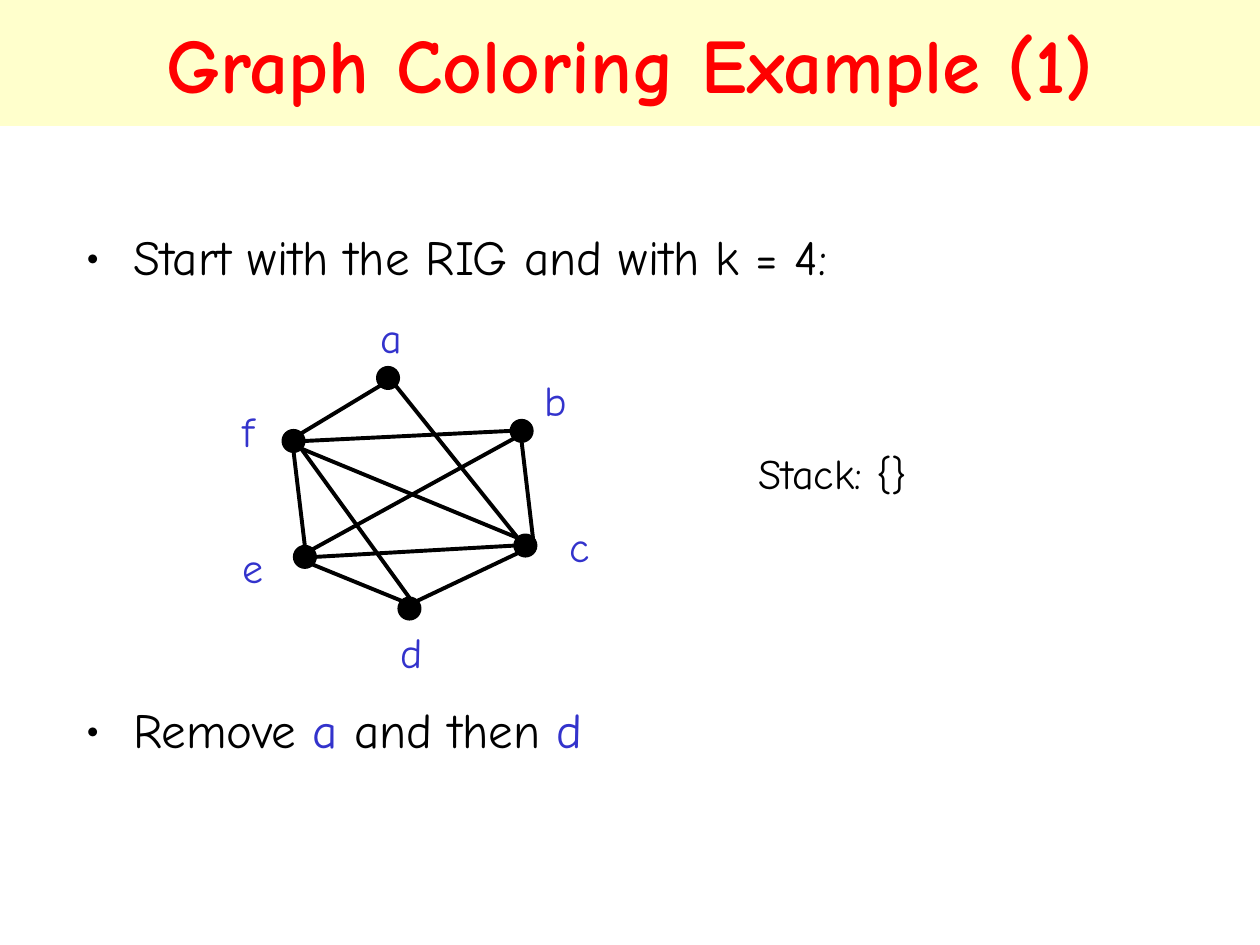
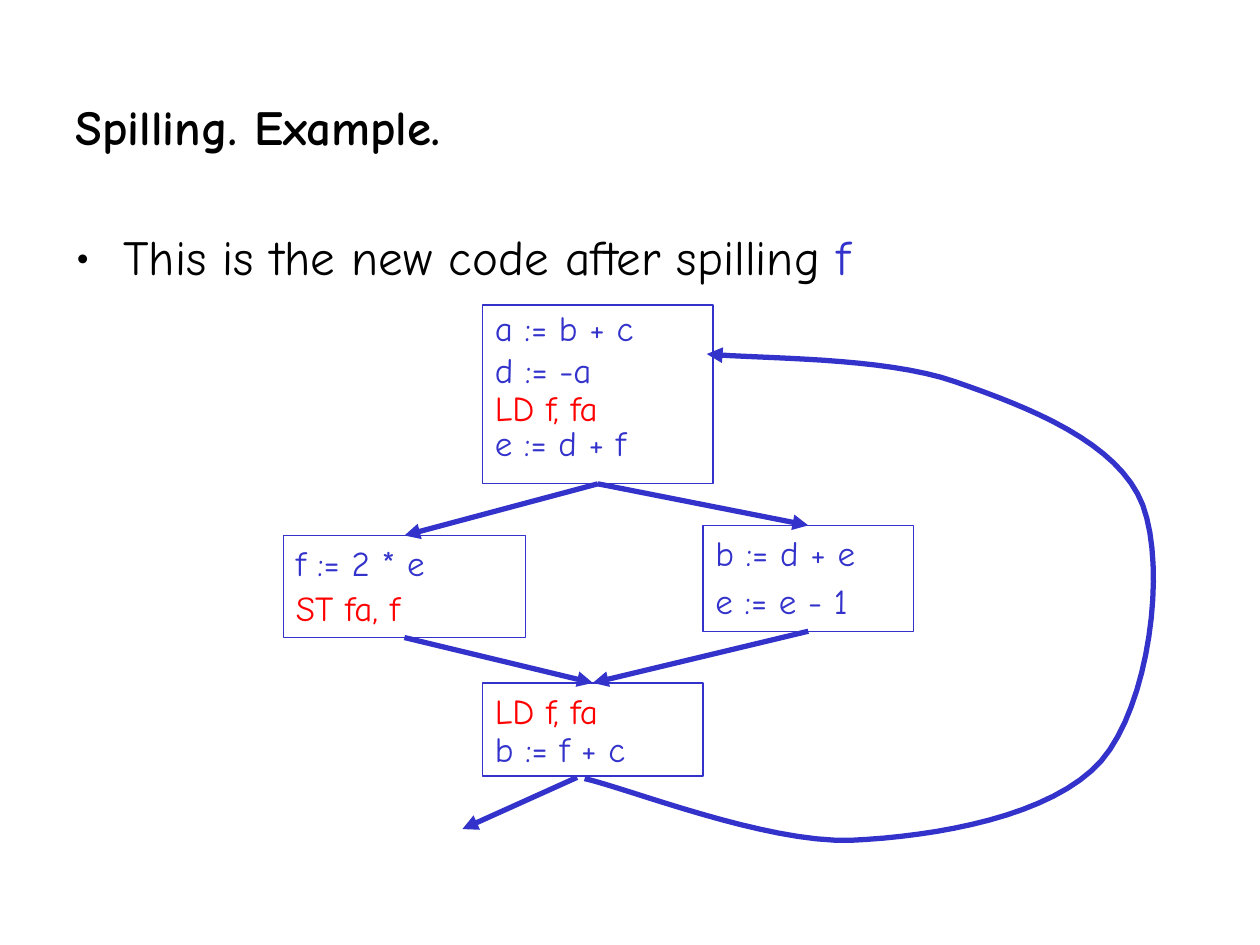
from math import cos, sin, radians
from lxml import etree
from pptx import Presentation
from pptx.dml.color import RGBColor
from pptx.enum.shapes import MSO_CONNECTOR as CONN, MSO_SHAPE as SHAPE
from pptx.enum.text import MSO_ANCHOR as ANCHOR, MSO_AUTO_SIZE as AUTO, PP_ALIGN as ALIGN
from pptx.oxml.ns import qn
from pptx.util import Inches, Pt

# Shared look
FONT = "Comic Neue"
BLACK, BLUE, RED, CREAM = "000000", "3333CC", "FF0000", "FFFFCC"
W, H = 10, 7.5
BODY_TOP, BODY_H, INDENT = 1.75, 0.58, 0.38

# Slide 1: interference graph, node -> (centre, label corner)
NODES = {
    "a": ((3.08, 3.0), (2.92, 2.42)),
    "b": ((4.14, 3.42), (4.22, 2.92)),
    "c": ((4.17, 4.33), (4.42, 4.08)),
    "d": ((3.25, 4.83), (3.08, 4.92)),
    "e": ((2.42, 4.42), (1.83, 4.25)),
    "f": ((2.33, 3.5), (1.83, 3.17)),
}
DOT = 0.17
# Compass points on a dot's rim, in degrees clockwise from east
RIM = {"E": 0, "SE": 45, "S": 90, "SW": 135, "W": 180, "NW": 225, "N": 270, "NE": 315}
EDGES = ["a SW f NE", "a SE c NW", "b W f E", "b SW e NE", "b S c NE", "c NW f SE",
         "c W e E", "c SW d NE", "d N f SE", "d NW e SE", "e N f S"]

# Slide 2: basic blocks, name -> (left, top, width, height), [(code, line spacing)]
BLOCKS = {
    "entry": ((3.83, 2.42, 1.83, 1.42),
              [("a := b + c", 0.9), ("d := -a", 0.5), ("LD f, fa", 0.5), ("e := d + f", 0.4)]),
    "left": ((2.25, 4.25, 1.92, 0.81), [("f := 2 * e", 1), ("ST fa, f", 0.6)]),
    "right": ((5.58, 4.17, 1.67, 0.84), [("b := d + e", 1), ("e := e - 1", 0.7)]),
    "join": ((3.83, 5.42, 1.75, 0.74), [("LD f, fa", 1), ("b := f + c", 0.4)]),
}
FLOW = [("entry", "left"), ("entry", "right"), ("left", "join"), ("right", "join")]
EXIT = (4.58, 6.17), (3.67, 6.58)
# Back edge: start, then two control points and an end for each Bézier piece
LOOP = [(4.64, 6.18),
        (4.99, 6.26), (6.07, 6.69), (6.75, 6.67),
        (7.43, 6.64), (8.35, 6.48), (8.74, 6.04),
        (9.12, 5.6), (9.26, 4.52), (9.07, 4.01),
        (8.88, 3.51), (8.16, 3.23), (7.58, 3.03),
        (7.01, 2.83), (6.02, 2.85), (5.61, 2.81)]
LOOP_STEPS = 16


def rgb(color):
    return RGBColor.from_string(color)


def write(sp, paras, size=28, color=BLACK, bold=False, align=ALIGN.LEFT,
          anchor=ANCHOR.TOP, spacing=None, before=0, bullet=False):
    """Fill a shape with paragraphs; each is a string or a list of (text, colour) runs."""
    tf = sp.text_frame
    tf.word_wrap, tf.auto_size, tf.vertical_anchor = True, AUTO.NONE, anchor
    for i, para in enumerate(paras):
        p = tf.add_paragraph() if i else tf.paragraphs[0]
        p.alignment = align
        if spacing:
            p.line_spacing = spacing[i]
        if i:
            p.space_before = Pt(before)
        if bullet:
            pPr = p._p.get_or_add_pPr()
            pPr.set("marL", str(Inches(INDENT)))
            pPr.set("indent", str(-Inches(INDENT)))
            etree.SubElement(pPr, qn("a:buFont")).set("typeface", FONT)
            etree.SubElement(pPr, qn("a:buChar")).set("char", "•")
        for text, run_color in [(para, color)] if isinstance(para, str) else para:
            r = p.add_run()
            r.text = text
            r.font.name, r.font.size, r.font.bold = FONT, Pt(size), bold
            r.font.color.rgb = rgb(run_color)


def add_text(s, box, paras, **fmt):
    write(s.shapes.add_textbox(*map(Inches, box)), paras, **fmt)


def add_title(s, box, text, fill=None, **fmt):
    sp = s.shapes.title
    sp.left, sp.top, sp.width, sp.height = map(Inches, box)
    if fill:
        sp.fill.solid()
        sp.fill.fore_color.rgb = rgb(fill)
    write(sp, [text], bold=True, anchor=ANCHOR.MIDDLE, **fmt)


def add_bullet(s, left, top, runs):
    add_text(s, (left, top, 9.08, BODY_H), [runs], bullet=True)


def add_shape(s, kind, box, line, width, fill=None):
    sp = s.shapes.add_shape(kind, *map(Inches, box))
    sp.shadow.inherit = False
    if fill:
        sp.fill.solid()
        sp.fill.fore_color.rgb = rgb(fill)
    else:
        sp.fill.background()
    sp.line.color.rgb, sp.line.width = rgb(line), Pt(width)
    return sp


def style_line(sp, color, width, arrow):
    sp.line.color.rgb, sp.line.width = rgb(color), Pt(width)
    if arrow:
        etree.SubElement(sp.line._get_or_add_ln(), qn("a:tailEnd")).set("type", "triangle")


def add_line(s, start, end, color=BLACK, width=2.25, arrow=False):
    cx = s.shapes.add_connector(CONN.STRAIGHT, *map(Inches, (*start, *end)))
    style_line(cx, color, width, arrow)
    etree.SubElement(cx._element.spPr, qn("a:effectLst"))


def rim_point(node, side):
    (x, y), angle = NODES[node][0], radians(RIM[side])
    return x + DOT / 2 * cos(angle), y + DOT / 2 * sin(angle)


def bezier(p0, p1, p2, p3, t):
    u = 1 - t
    return tuple(u**3 * a + 3 * u * u * t * b + 3 * u * t * t * c + t**3 * d
                 for a, b, c, d in zip(p0, p1, p2, p3))


def add_curve(s, pts):
    dots = [bezier(*pts[i:i + 4], k / LOOP_STEPS)
            for i in range(0, len(pts) - 1, 3) for k in range(1, LOOP_STEPS + 1)]
    # Freeform points are whole numbers, so they are given in EMU
    start, *rest = [(Inches(x), Inches(y)) for x, y in [pts[0], *dots]]
    fb = s.shapes.build_freeform(*start)
    fb.add_line_segments(rest, close=False)
    sp = fb.convert_to_shape()
    sp.shadow.inherit = False
    sp.fill.background()
    style_line(sp, BLUE, 3, True)


def coloring_slide(s):
    add_title(s, (0, 0, W, 1), "Graph Coloring Example (1)", fill=CREAM,
              size=44, color=RED, align=ALIGN.CENTER)
    add_bullet(s, 0.58, BODY_TOP, "Start with the RIG and with k = 4:")
    add_bullet(s, 0.58, 5.5, [("Remove ", BLACK), ("a", BLUE), (" and then ", BLACK), ("d", BLUE)])
    for edge in EDGES:
        n1, side1, n2, side2 = edge.split()
        add_line(s, rim_point(n1, side1), rim_point(n2, side2))
    for name, ((x, y), corner) in NODES.items():
        add_shape(s, SHAPE.OVAL, (x - DOT / 2, y - DOT / 2, DOT, DOT), BLACK, 1.5, fill=BLACK)
        add_text(s, (*corner, 0.4, 0.5), [name], size=24, color=BLUE)
    add_text(s, (5.92, 3.5, 1.65, 0.5), ["Stack: {}"], size=24)


def spilling_slide(s):
    add_title(s, (0.5, 0.5, 8.83, 1), "Spilling. Example.")
    add_bullet(s, 0.5, BODY_TOP, [("This is the new code after spilling ", BLACK), ("f", BLUE)])
    for box, code in BLOCKS.values():
        sp = add_shape(s, SHAPE.RECTANGLE, box, BLUE, 0.75)
        # Loads and stores added by spilling stand out in red
        paras = [[(text, RED if text[:2] in ("LD", "ST") else BLUE)] for text, _ in code]
        write(sp, paras, size=20, spacing=[gap for _, gap in code], before=10)
    for source, target in FLOW:
        (x1, y1, w1, h1), (x2, y2, w2, _) = BLOCKS[source][0], BLOCKS[target][0]
        add_line(s, (x1 + w1 / 2, y1 + h1), (x2 + w2 / 2, y2), BLUE, 3, True)
    add_curve(s, LOOP)
    add_line(s, *EXIT, BLUE, 3, True)


def main():
    prs = Presentation()
    prs.slide_width, prs.slide_height = Inches(W), Inches(H)
    title_only = prs.slide_layouts[5]
    for build in (coloring_slide, spilling_slide):
        build(prs.slides.add_slide(title_only))
    prs.save("out.pptx")


if __name__ == "__main__":
    main()
